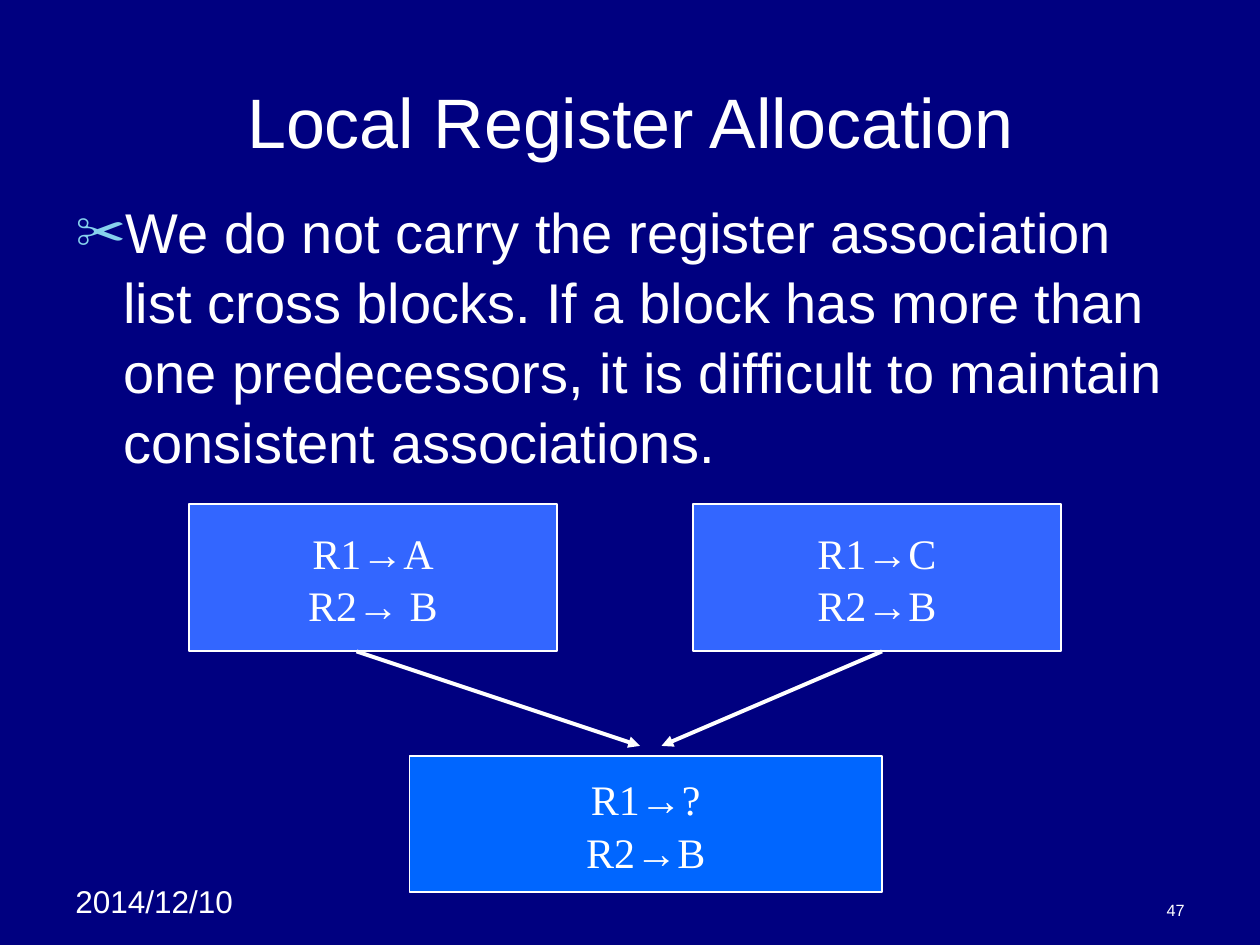
from dataclasses import dataclass

from pptx import Presentation
from pptx.dml.color import RGBColor
from pptx.enum.shapes import MSO_CONNECTOR, MSO_SHAPE
from pptx.enum.text import MSO_ANCHOR, MSO_AUTO_SIZE, PP_ALIGN
from pptx.oxml.ns import qn
from pptx.util import Inches, Pt
from lxml.etree import SubElement


@dataclass(frozen=True)
class Theme:
    background: RGBColor = RGBColor(0x00, 0x00, 0x80)
    ink: RGBColor = RGBColor(0xFF, 0xFF, 0xFF)
    bullet: RGBColor = RGBColor(0x86, 0xD1, 0xEC)
    predecessor: RGBColor = RGBColor(0x33, 0x66, 0xFF)
    successor: RGBColor = RGBColor(0x00, 0x66, 0xFF)
    sans: str = "Arial"
    serif: str = "Times New Roman"
    title_size: float = 40
    body_size: float = 32
    block_size: float = 24
    date_size: float = 18
    number_size: float = 9.3
    line_spacing: float = 1.04


THEME = Theme()


def place(shape, box):
    shape.left, shape.top, shape.width, shape.height = map(Inches, box)


def add_run(paragraph, text, size, font=THEME.sans):
    run = paragraph.add_run()
    run.text = text
    run.font.size = Pt(size)
    run.font.name = font
    run.font.color.rgb = THEME.ink


def set_title(slide, box, text):
    title = slide.shapes.title
    place(title, box)
    frame = title.text_frame
    frame.auto_size = MSO_AUTO_SIZE.NONE
    frame.vertical_anchor = MSO_ANCHOR.MIDDLE
    frame.paragraphs[0].alignment = PP_ALIGN.CENTER
    add_run(frame.paragraphs[0], text, THEME.title_size)


def set_scissors_bullet(paragraph):
    properties = paragraph._p.get_or_add_pPr()
    indent = Inches(0.38)
    properties.set("marL", str(indent))
    properties.set("indent", str(-indent))
    color = SubElement(properties, qn("a:buClr"))
    SubElement(color, qn("a:srgbClr"), val=str(THEME.bullet))
    SubElement(properties, qn("a:buSzPct"), val="90000")
    SubElement(properties, qn("a:buChar"), char="✂")


def set_body(slide, box, text):
    body = slide.placeholders[1]
    place(body, box)
    frame = body.text_frame
    frame.auto_size = MSO_AUTO_SIZE.NONE
    paragraph = frame.paragraphs[0]
    set_scissors_bullet(paragraph)
    paragraph.space_before = Pt(0)
    paragraph.line_spacing = THEME.line_spacing
    add_run(paragraph, text, THEME.body_size)


def add_block(slide, box, fill, associations):
    """Draw a basic block listing its (register, variable) pairs."""
    block = slide.shapes.add_shape(MSO_SHAPE.RECTANGLE, *map(Inches, box))
    block.shadow.inherit = False
    block.fill.solid()
    block.fill.fore_color.rgb = fill
    block.line.color.rgb = THEME.ink
    block.line.width = Pt(1)
    frame = block.text_frame
    frame.word_wrap = False
    frame.vertical_anchor = MSO_ANCHOR.MIDDLE
    for index, (register, variable) in enumerate(associations):
        paragraph = frame.add_paragraph() if index else frame.paragraphs[0]
        paragraph.alignment = PP_ALIGN.CENTER
        paragraph.line_spacing = THEME.line_spacing
        add_run(paragraph, register, THEME.block_size, THEME.serif)
        add_run(paragraph, "→", THEME.block_size)
        add_run(paragraph, variable, THEME.block_size, THEME.serif)


def add_arrow(slide, start, end):
    arrow = slide.shapes.add_connector(
        MSO_CONNECTOR.STRAIGHT, *map(Inches, start + end))
    arrow.line.color.rgb = THEME.ink
    arrow.line.width = Pt(2.25)
    SubElement(arrow.line._get_or_add_ln(), qn("a:tailEnd"), type="triangle")
    SubElement(arrow._element.spPr, qn("a:effectLst"))


def add_flow_graph(slide, box):
    """Draw two predecessor blocks that join in one successor."""
    left, top, width, height = box
    block_width, block_height = 2.92, 1.17
    right = left + width - block_width
    add_block(slide, (left, top, block_width, block_height),
              THEME.predecessor, [("R1", "A"), ("R2", " B")])
    add_block(slide, (right, top, block_width, block_height),
              THEME.predecessor, [("R1", "C"), ("R2", "B")])

    join_width, join_height = 3.75, 1.08
    join_top = top + height - join_height
    add_block(slide, (left + 1.75, join_top, join_width, join_height),
              THEME.successor, [("R1", "?"), ("R2", "B")])

    exit_y, entry_y = top + block_height, join_top - 0.08
    add_arrow(slide, (left + 1.33, exit_y), (left + 3.58, entry_y))
    add_arrow(slide, (right + 1.5, exit_y), (left + 3.75, entry_y))


def add_footer(slide, box, text, size, alignment, anchor):
    footer = slide.shapes.add_textbox(*map(Inches, box))
    frame = footer.text_frame
    frame.word_wrap = True
    frame.vertical_anchor = anchor
    frame.paragraphs[0].alignment = alignment
    add_run(frame.paragraphs[0], text, size)


def main():
    deck = Presentation()
    deck.slide_width, deck.slide_height = Inches(10), Inches(7.5)
    slide = deck.slides.add_slide(deck.slide_layouts[1])
    slide.background.fill.solid()
    slide.background.fill.fore_color.rgb = THEME.background

    add_footer(slide, (0.5, 6.95, 1.58, 0.4), "2014/12/10",
               THEME.date_size, PP_ALIGN.LEFT, MSO_ANCHOR.TOP)
    add_footer(slide, (7.17, 7.08, 2.33, 0.27), "47",
               THEME.number_size, PP_ALIGN.RIGHT, MSO_ANCHOR.BOTTOM)
    set_title(slide, (0.5, 0.58, 9, 0.75), "Local Register Allocation")
    set_body(slide, (0.5, 1.5, 9.08, 5.58),
             "We do not carry the register association list cross blocks. "
             "If a block has more than one predecessors, it is difficult to "
             "maintain consistent associations.")
    add_flow_graph(slide, (1.5, 4, 6.92, 3.08))
    deck.save("out.pptx")


if __name__ == "__main__":
    main()
